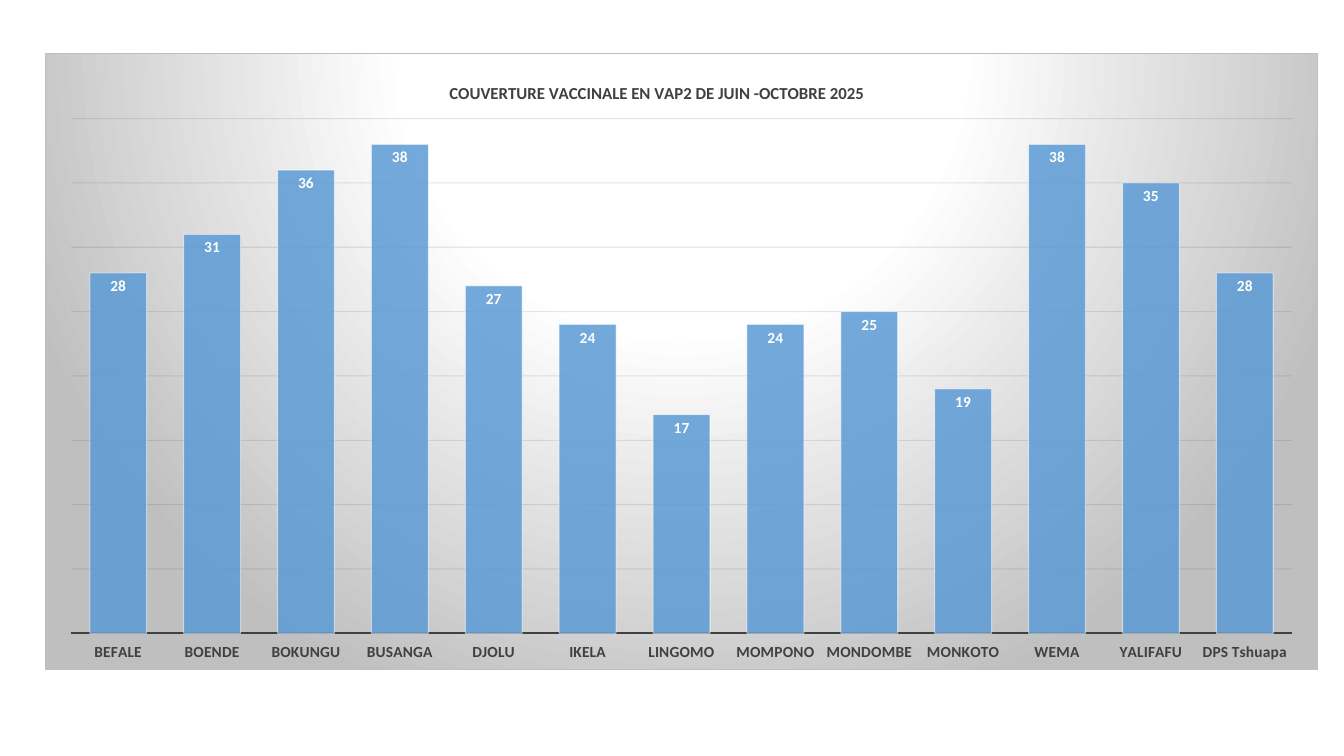
from lxml import etree
from pptx import Presentation
from pptx.chart.data import CategoryChartData
from pptx.dml.color import RGBColor
from pptx.enum.chart import XL_CHART_TYPE, XL_LABEL_POSITION, XL_TICK_LABEL_POSITION, XL_TICK_MARK
from pptx.oxml import parse_xml
from pptx.oxml.ns import nsdecls, qn
from pptx.util import Inches, Pt

COLUMN = XL_CHART_TYPE.COLUMN_CLUSTERED
IN_END = XL_LABEL_POSITION.INSIDE_END
LOW = XL_TICK_LABEL_POSITION.LOW
NO_TICK = XL_TICK_MARK.NONE

BLUE = RGBColor(0x5B, 0x9B, 0xD5)
DARK = RGBColor(0x40, 0x40, 0x40)
BLACK = RGBColor(0x0D, 0x0D, 0x0D)
WHITE = RGBColor(0xFF, 0xFF, 0xFF)
GREY = RGBColor(0xBF, 0xBF, 0xBF)

TITLE = "COUVERTURE VACCINALE EN VAP2 DE JUIN -OCTOBRE 2025"
RATES = {
    "BEFALE": 28, "BOENDE": 31, "BOKUNGU": 36, "BUSANGA": 38, "DJOLU": 27,
    "IKELA": 24, "LINGOMO": 17, "MOMPONO": 24, "MONDOMBE": 25, "MONKOTO": 19,
    "WEMA": 38, "YALIFAFU": 35, "DPS Tshuapa": 28,
}


def style(font, size=11, color=DARK, bold=True, name="Calibri"):
    font.size, font.bold, font.name = Pt(size), bold, name
    font.color.rgb = color


def write(frame, text, **form):
    frame.text = text
    style(frame.paragraphs[0].runs[0].font, **form)


def draw(line, color, width=0.75):
    line.color.rgb = color
    line.width = Pt(width)


def fade(root, route, share):
    """Set the opacity, in percent, of the colours found along a route."""
    for color in root.xpath(route + "//a:srgbClr"):
        etree.SubElement(color, qn("a:alpha")).set("val", str(share * 1000))


def place(node, index, inner=False, **spots):
    """Give a chart part a fixed place, in shares of the chart."""
    for old in node.findall(qn("c:layout")):
        node.remove(old)
    target = '<c:layoutTarget val="inner"/>' if inner else ""
    modes = "".join(f'<c:{key}Mode val="edge"/>' for key in "xy")
    sizes = "".join(f'<c:{key} val="{val}"/>' for key, val in spots.items())
    node.insert(index, parse_xml(
        f'<c:layout {nsdecls("c")}><c:manualLayout>{target}{modes}{sizes}'
        '</c:manualLayout></c:layout>'))


class Deck:
    def __init__(self):
        self.show = Presentation()
        self.show.slide_width, self.show.slide_height = Inches(13.33), Inches(7.5)
        self.slide = self.show.slides.add_slide(self.show.slide_layouts[6])

    def columns(self, rates, left, top, width, height):
        data = CategoryChartData(number_format="0")
        data.categories = list(rates)
        data.add_series("Series 1", list(rates.values()))
        chart = self.slide.shapes.add_chart(
            COLUMN, Inches(left), Inches(top), Inches(width), Inches(height), data).chart
        chart.has_legend = False
        style(chart.font)
        root = chart.element

        # Columns and their values
        plot = chart.plots[0]
        plot.gap_width, plot.vary_by_categories = 65, False
        bars = plot.series[0]
        bars.format.fill.solid()
        bars.format.fill.fore_color.rgb = BLUE
        draw(bars.format.line, WHITE)
        fade(root, ".//c:ser/c:spPr/a:solidFill", 85)
        fade(root, ".//c:ser/c:spPr/a:ln", 50)
        tags = bars.data_labels
        tags.show_value, tags.position = True, IN_END
        tags.number_format, tags.number_format_is_linked = "0", False
        style(tags.font, color=WHITE)

        # Axes and grid
        base = chart.category_axis
        base.major_tick_mark = base.minor_tick_mark = NO_TICK
        base.tick_label_position = LOW
        style(base.tick_labels.font)
        draw(base.format.line, DARK, 1.5)
        scale = chart.value_axis
        scale.minimum_scale, scale.maximum_scale, scale.major_unit = 0, 40, 5
        scale.visible = False
        draw(scale.major_gridlines.format.line, BLACK)
        fade(root, ".//c:majorGridlines", 10)
        place(root.xpath(".//c:plotArea")[0], 0, inner=True,
              x=0.02, y=0.105, w=0.96, h=0.836)
        return chart

    def head(self, chart, text):
        write(chart.chart_title.text_frame, text, size=12)
        chart.chart_title.include_in_layout = False
        place(chart.element.xpath("./c:chart/c:title")[0], 1, x=0.315, y=0.04)

    def back(self, chart):
        """Fill the chart with a round gradient inside a thin border."""
        stops = "".join(
            f'<a:gs pos="{spot * 1000}"><a:srgbClr val="{color}"/></a:gs>'
            for spot, color in ((0, WHITE), (39, WHITE), (100, GREY)))
        chart.element.xpath("./c:chart")[0].addnext(parse_xml(
            f'<c:spPr {nsdecls("c", "a")}><a:gradFill><a:gsLst>{stops}</a:gsLst>'
            '<a:path path="circle"><a:fillToRect l="50000" t="-80000" r="50000" '
            f'b="180000"/></a:path></a:gradFill><a:ln w="{Pt(0.75)}"><a:solidFill>'
            f'<a:srgbClr val="{GREY}"/></a:solidFill></a:ln></c:spPr>'))


def main():
    deck = Deck()
    chart = deck.columns(RATES, 0.45, 0.53, 12.62, 6.12)
    deck.head(chart, TITLE)
    deck.back(chart)
    deck.show.save("out.pptx")


if __name__ == "__main__":
    main()
